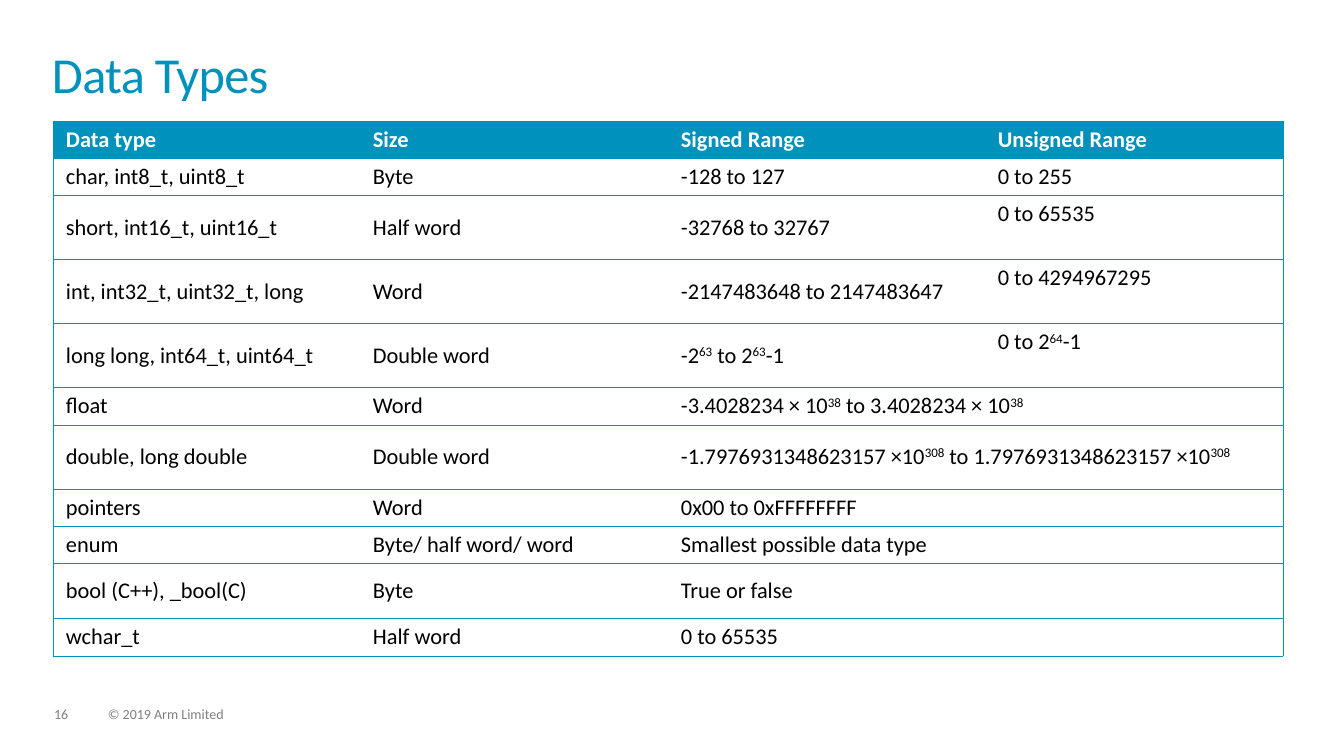
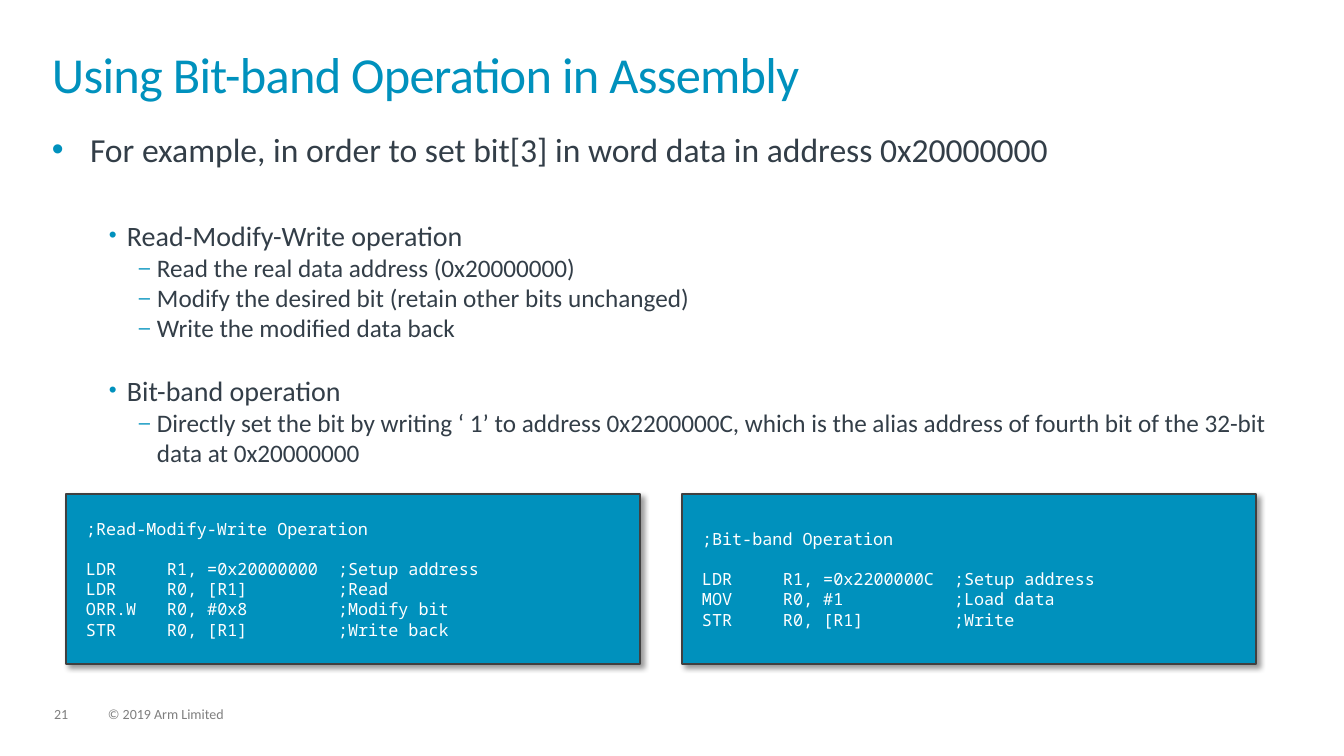
"""Builds two teaching slides on data types and bit-band operation."""
from lxml.etree import SubElement
from pptx import Presentation
from pptx.dml.color import RGBColor
from pptx.enum.shapes import MSO_SHAPE as Preset
from pptx.enum.text import MSO_ANCHOR as Anchor, MSO_AUTO_SIZE as AutoSize, PP_ALIGN as Align
from pptx.oxml.ns import qn
from pptx.util import Pt

EMU_PER_PX = 914400 / 100.8
TEAL, SLATE, GREY, EDGE = "0091BD", "333E48", "7F7F7F", "404040"
WHITE, BLACK = "FFFFFF", "000000"
SANS, MONO = "Calibri", "Noto Sans Mono"
TITLE_ONLY, TITLE_AND_BODY = 5, 1
NO_TABLE_STYLE = "{2D5ABB26-0587-4C30-8999-92F81FD0307C}"

COLUMN_WIDTHS = (307, 308, 317, 298)
ROW_HEIGHTS = (37, 37, 64, 64, 64, 37, 64, 37, 37, 55, 37)
DATA_TYPES = (
    ("Data type", "Size", "Signed Range", "Unsigned Range"),
    ("char, int8_t, uint8_t", "Byte", "-128 to 127", "0 to 255"),
    ("short, int16_t, uint16_t", "Half word", "-32768 to 32767", "0 to 65535"),
    ("int, int32_t, uint32_t, long", "Word", "-2147483648 to 2147483647", "0 to 4294967295"),
    ("long long, int64_t, uint64_t", "Double word", "-2^63^ to 2^63^-1", "0 to 2^64^-1"),
    ("float", "Word", "-3.4028234 × 10^38^ to 3.4028234 × 10^38^"),
    ("double, long double", "Double word",
     "-1.7976931348623157 ×10^308^ to 1.7976931348623157 ×10^308^"),
    ("pointers", "Word", "0x00 to 0xFFFFFFFF"),
    ("enum", "Byte/ half word/ word", "Smallest possible data type"),
    ("bool (C++), _bool(C)", "Byte", "True or false"),
    ("wchar_t", "Half word", "0 to 65535"),
)

BULLET_LEVELS = (
    dict(indent=38, hang=38, mark="•", percent=100, size=24),
    dict(indent=75, hang=18, mark="•", percent=80, size=20),
    dict(indent=105, hang=18, mark="–", percent=80, size=18),
)
BIT_BAND_POINTS = (
    (0, 0, "For example, in order to set bit[3] in word data in address 0x20000000"),
    (1, 35, "Read-Modify-Write operation"),
    (2, 0, "Read the real data address (0x20000000)"),
    (2, 0, "Modify the desired bit (retain other bits unchanged)"),
    (2, 0, "Write the modified data back"),
    (1, 22, "Bit-band operation"),
    (2, 0, "Directly set the bit by writing ‘ 1’ to address 0x2200000C, which is the alias "
           "address of fourth bit of the 32-bit data at 0x20000000"),
)
READ_MODIFY_WRITE = (
    ";Read-Modify-Write Operation",
    "LDR\tR1, =0x20000000\t;Setup address",
    "LDR\tR0, [R1]\t;Read",
    "ORR.W\tR0, #0x8\t;Modify bit",
    "STR\tR0, [R1]\t;Write back",
)
BIT_BAND = (
    ";Bit-band Operation",
    "LDR\tR1, =0x2200000C\t;Setup address",
    "MOV\tR0, #1\t;Load data",
    "STR\tR0, [R1]\t;Write",
)
CODE_TABS = (81, 252)


def px(length):
    return round(length * EMU_PER_PX)


def paint(color, hex_code):
    color.rgb = RGBColor.from_string(hex_code)


def node(parent, tag, **attributes):
    return SubElement(parent, qn(tag), {name: str(value) for name, value in attributes.items()})


def place(shape, left, top, width, height):
    shape.left, shape.top, shape.width, shape.height = map(px, (left, top, width, height))


class Deck:
    """Holds the shared style and the slide being filled."""

    def __init__(self):
        self.show = Presentation()
        self.show.slide_width, self.show.slide_height = px(1344), px(756)
        self.slide = None

    def start(self, layout, number, title):
        self.slide = self.show.slides.add_slide(self.show.slide_layouts[layout])
        self.title(title)
        self.footer(54, 34, number)
        self.footer(108, 511, "© 2019 Arm Limited")

    def style(self, paragraph, size, color, face=SANS, bold=False):
        font = paragraph.font
        font.name, font.size, font.bold = face, Pt(size), bold
        paint(font.color, color)

    def frame(self, shape, inset=0, anchor=Anchor.TOP):
        frame = shape.text_frame
        frame.word_wrap, frame.auto_size = True, AutoSize.NONE
        frame.vertical_anchor = anchor
        frame.margin_left = frame.margin_right = px(inset)
        frame.margin_top = frame.margin_bottom = px(inset)
        return frame

    def paragraphs(self, frame, texts):
        for index, text in enumerate(texts):
            paragraph = frame.add_paragraph() if index else frame.paragraphs[0]
            paragraph.add_run().text = text
            paragraph.alignment = Align.LEFT
            yield paragraph

    def title(self, text):
        heading = self.slide.shapes.title
        place(heading, 52, 52, 1238, 73)
        for paragraph in self.paragraphs(self.frame(heading), [text]):
            paragraph.line_spacing = 0.85
            self.style(paragraph, 36, TEAL)
            paragraph.runs[0]._r.get_or_add_rPr().set("spc", "-50")

    def footer(self, left, width, text):
        box = self.slide.shapes.add_textbox(px(left), px(707), px(width), px(15))
        for paragraph in self.paragraphs(self.frame(box), [text]):
            paragraph.line_spacing = 0.9
            self.style(paragraph, 10, GREY)

    def bullets(self, points):
        body = self.slide.placeholders[1]
        place(body, 52, 129, 1238, 545)
        levels, gaps, texts = zip(*points)
        lines = self.paragraphs(self.frame(body), texts)
        for paragraph, level, gap in zip(lines, levels, gaps):
            look = BULLET_LEVELS[level]
            paragraph.level = level
            paragraph.space_before = Pt(gap)
            props = paragraph._p.get_or_add_pPr()
            props.set("marL", str(px(look["indent"])))
            props.set("indent", str(-px(look["hang"])))
            node(node(props, "a:buClr"), "a:srgbClr", val=TEAL)
            node(props, "a:buSzPct", val=look["percent"] * 1000)
            node(props, "a:buFont", typeface="Arial")
            node(props, "a:buChar", char=look["mark"])
            self.style(paragraph, look["size"], SLATE)

    def code(self, left, lines):
        panel = self.slide.shapes.add_shape(
            Preset.RECTANGLE, px(left), px(494), px(574), px(170))
        panel.fill.solid()
        paint(panel.fill.fore_color, TEAL)
        paint(panel.line.color, EDGE)
        panel.line.width = Pt(1)
        self.shadow(panel)
        frame = self.frame(panel, 20, Anchor.MIDDLE)
        for index, paragraph in enumerate(self.paragraphs(frame, lines)):
            paragraph.space_before = Pt(14.5 if index == 1 else 0)
            tabs = node(paragraph._p.get_or_add_pPr(), "a:tabLst")
            for stop in CODE_TABS:
                node(tabs, "a:tab", pos=px(stop), algn="l")
            self.style(paragraph, 12, WHITE, MONO)

    def shadow(self, shape):
        shape.shadow.inherit = False
        effects = shape._element.spPr.find(qn("a:effectLst"))
        outer = node(effects, "a:outerShdw", blurRad=Pt(4), dist=Pt(3), dir=45 * 60000,
                     algn="tl", rotWithShape=0)
        node(node(outer, "a:srgbClr", val=BLACK), "a:alpha", val=40000)

    def borders(self, cell, sides):
        props = cell._tc.get_or_add_tcPr()
        for side in "LRTB":
            if side in sides:
                line = node(props, f"a:ln{side}", w=Pt(0.5))
                node(node(line, "a:solidFill"), "a:srgbClr", val=TEAL)
            else:
                node(node(props, f"a:ln{side}", w=0), "a:noFill")

    def table(self, left, top, rows):
        last = len(COLUMN_WIDTHS) - 1
        holder = self.slide.shapes.add_table(
            len(rows), last + 1, px(left), px(top), px(sum(COLUMN_WIDTHS)), px(sum(ROW_HEIGHTS)))
        grid = holder.table
        grid.horz_banding = False
        grid._tbl.tblPr.find(qn("a:tableStyleId")).text = NO_TABLE_STYLE
        for column, width in zip(grid.columns, COLUMN_WIDTHS):
            column.width = px(width)
        for y, texts in enumerate(rows):
            grid.rows[y].height = px(ROW_HEIGHTS[y])
            if len(texts) == last:
                grid.cell(y, last - 1).merge(grid.cell(y, last))
            for x in range(last + 1):
                cell = grid.cell(y, x)
                right = x == last or cell.is_merge_origin
                self.borders(cell, "TB" + "L" * (x == 0) + "R" * right)
                self.cell(cell, texts[x] if x < len(texts) else "", y == 0, x == last)

    def cell(self, cell, text, header, top):
        cell.margin_left = cell.margin_right = px(13)
        cell.margin_top = cell.margin_bottom = px(5)
        cell.vertical_anchor = Anchor.TOP if header or top else Anchor.MIDDLE
        if header:
            cell.fill.solid()
            paint(cell.fill.fore_color, TEAL)
        else:
            cell.fill.background()
        paragraph = cell.text_frame.paragraphs[0]
        self.style(paragraph, 16, WHITE if header else BLACK, bold=header)
        for index, piece in enumerate(text.split("^")):
            if piece:
                run = paragraph.add_run()
                run.text = piece
                if index % 2:
                    run._r.get_or_add_rPr().set("baseline", "30000")


def main():
    deck = Deck()
    deck.start(TITLE_ONLY, "16", "Data Types")
    deck.table(53, 121, DATA_TYPES)
    deck.start(TITLE_AND_BODY, "21", "Using Bit-band Operation in Assembly")
    deck.bullets(BIT_BAND_POINTS)
    deck.code(66, READ_MODIFY_WRITE)
    deck.code(682, BIT_BAND)
    deck.show.save("out.pptx")


if __name__ == "__main__":
    main()
